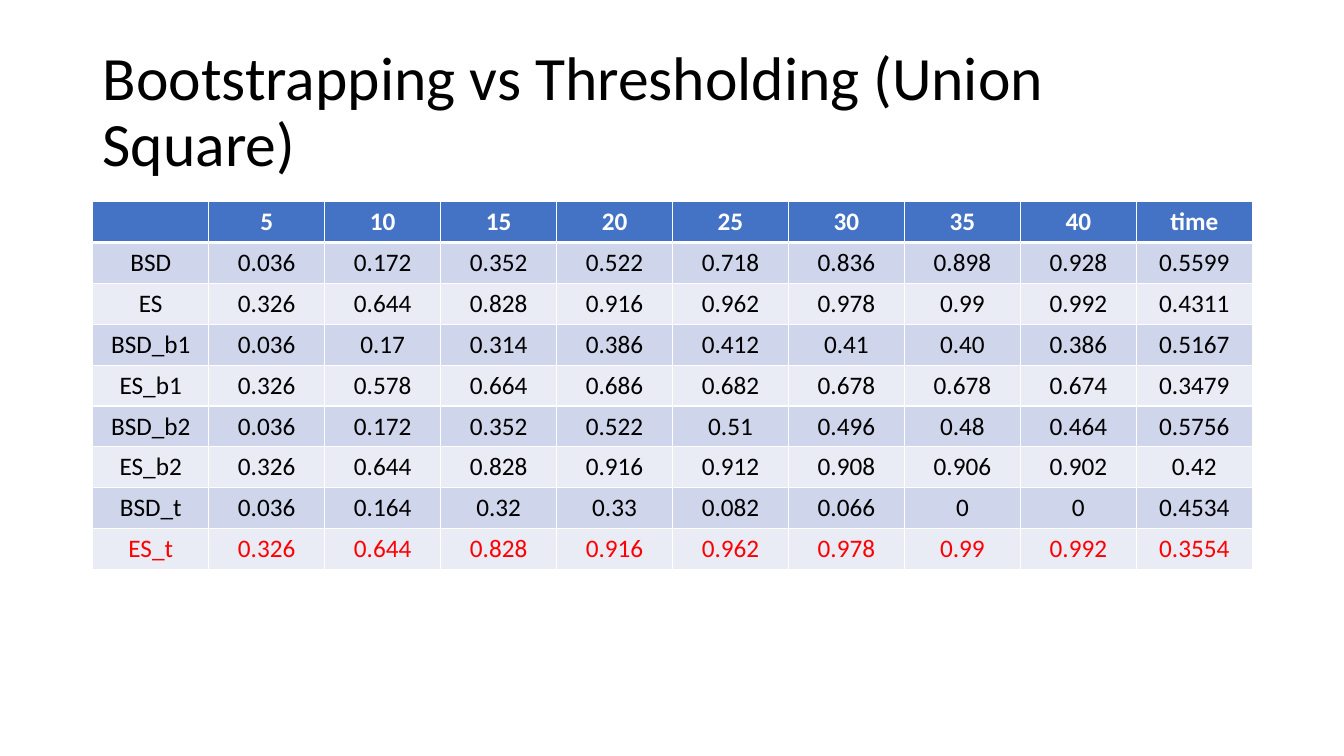
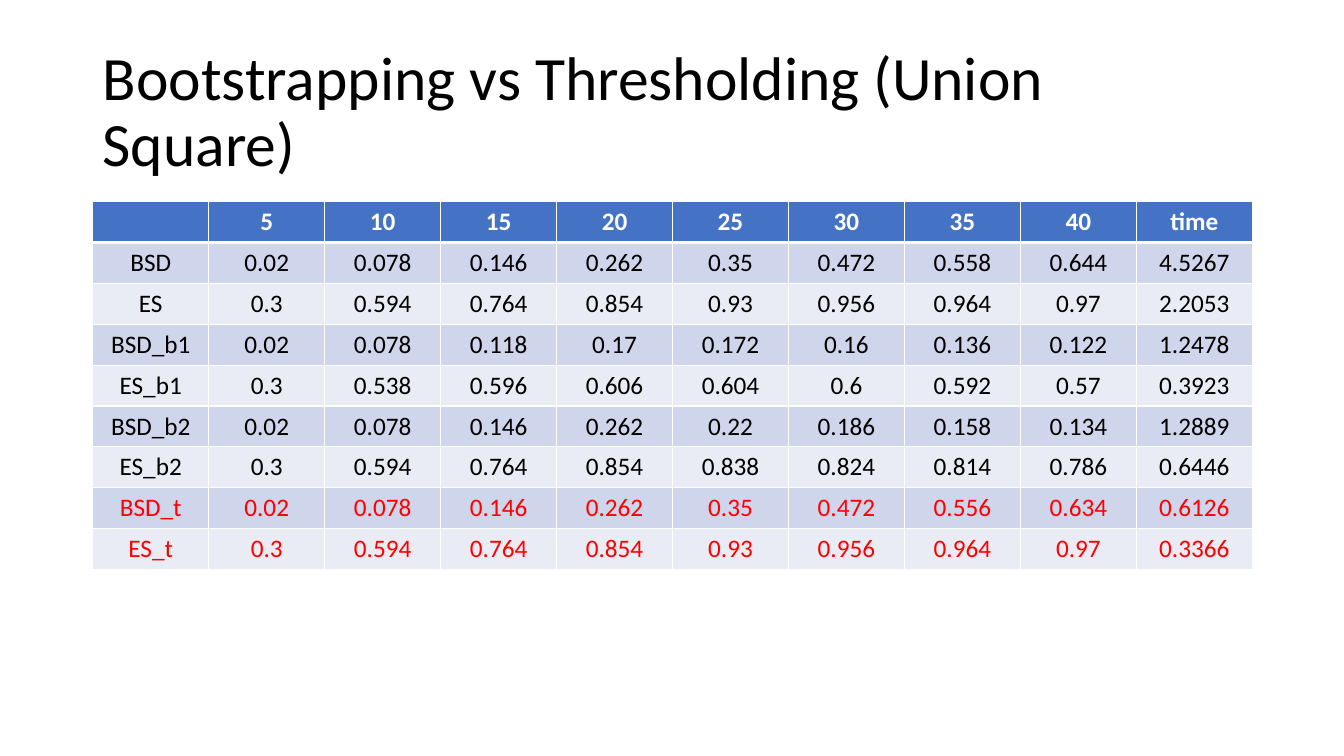
from lxml import etree
from pptx import Presentation
from pptx.dml.color import RGBColor
from pptx.enum.text import MSO_ANCHOR, PP_ALIGN
from pptx.oxml.ns import qn
from pptx.util import Inches, Pt

MIDDLE = MSO_ANCHOR.MIDDLE
LEFT = PP_ALIGN.LEFT
CENTER = PP_ALIGN.CENTER

BLACK = RGBColor(0x00, 0x00, 0x00)
WHITE = RGBColor(0xFF, 0xFF, 0xFF)
RED = RGBColor(0xFF, 0x00, 0x00)
HEADER_BLUE = RGBColor(0x44, 0x72, 0xC4)
BANDS = (RGBColor(0xCF, 0xD5, 0xEA), RGBColor(0xE9, 0xEB, 0xF5))

FONT = "Calibri"
BLANK_LAYOUT = 6
SLIDE_WIDTH, SLIDE_HEIGHT = Inches(13.33), Inches(7.5)
MARGIN = Inches(0.92)
CONTENT_WIDTH = Inches(11.5)
TITLE_TOP, TITLE_HEIGHT = Inches(0.4), Inches(1.45)
TABLE_TOP, TABLE_HEIGHT = Inches(2), Inches(3.65)
THIN, THICK = Pt(1), Pt(3)

TITLE = "Bootstrapping vs Thresholding (Union Square)"
HEADER = ("", "5", "10", "15", "20", "25", "30", "35", "40", "time")

FIRST_RESULTS = """
BSD 0.036 0.172 0.352 0.522 0.718 0.836 0.898 0.928 0.5599
ES 0.326 0.644 0.828 0.916 0.962 0.978 0.99 0.992 0.4311
BSD_b1 0.036 0.17 0.314 0.386 0.412 0.41 0.40 0.386 0.5167
ES_b1 0.326 0.578 0.664 0.686 0.682 0.678 0.678 0.674 0.3479
BSD_b2 0.036 0.172 0.352 0.522 0.51 0.496 0.48 0.464 0.5756
ES_b2 0.326 0.644 0.828 0.916 0.912 0.908 0.906 0.902 0.42
BSD_t 0.036 0.164 0.32 0.33 0.082 0.066 0 0 0.4534
ES_t 0.326 0.644 0.828 0.916 0.962 0.978 0.99 0.992 0.3554
"""

SECOND_RESULTS = """
BSD 0.02 0.078 0.146 0.262 0.35 0.472 0.558 0.644 4.5267
ES 0.3 0.594 0.764 0.854 0.93 0.956 0.964 0.97 2.2053
BSD_b1 0.02 0.078 0.118 0.17 0.172 0.16 0.136 0.122 1.2478
ES_b1 0.3 0.538 0.596 0.606 0.604 0.6 0.592 0.57 0.3923
BSD_b2 0.02 0.078 0.146 0.262 0.22 0.186 0.158 0.134 1.2889
ES_b2 0.3 0.594 0.764 0.854 0.838 0.824 0.814 0.786 0.6446
BSD_t 0.02 0.078 0.146 0.262 0.35 0.472 0.556 0.634 0.6126
ES_t 0.3 0.594 0.764 0.854 0.93 0.956 0.964 0.97 0.3366
"""


def write_text(frame, text, *, size=18, color=BLACK, bold=False,
               align=CENTER, line_spacing=None):
    para = frame.paragraphs[0]
    para.alignment = align
    para.line_spacing = line_spacing
    if text:
        span = para.add_run()
        span.text = text
        span.font.name = FONT
        span.font.size = Pt(size)
        span.font.bold = bold
        span.font.color.rgb = color


def add_title(page, text):
    box = page.shapes.add_textbox(MARGIN, TITLE_TOP, CONTENT_WIDTH, TITLE_HEIGHT)
    frame = box.text_frame
    frame.word_wrap = True
    frame.vertical_anchor = MIDDLE
    write_text(frame, text, size=44, align=LEFT, line_spacing=0.9)


def add_borders(cell, top, bottom):
    properties = cell._tc.get_or_add_tcPr()
    widths = {"lnL": THIN, "lnR": THIN, "lnT": top, "lnB": bottom}
    for side, width in widths.items():
        line = etree.SubElement(properties, qn(f"a:{side}"), w=str(int(width)))
        fill = etree.SubElement(line, qn("a:solidFill"))
        etree.SubElement(fill, qn("a:srgbClr"), val=str(WHITE))


def format_cell(cell, text, fill, *, top=THIN, bottom=THIN, **text_format):
    add_borders(cell, top, bottom)
    cell.fill.solid()
    cell.fill.fore_color.rgb = fill
    cell.vertical_anchor = MIDDLE
    write_text(cell.text_frame, text, **text_format)


def add_results_table(page, results, highlighted):
    rows = [line.split() for line in results.strip().splitlines()]
    table = page.shapes.add_table(
        len(rows) + 1, len(HEADER), MARGIN, TABLE_TOP, CONTENT_WIDTH, TABLE_HEIGHT
    ).table
    for column, text in enumerate(HEADER):
        format_cell(table.cell(0, column), text, HEADER_BLUE,
                    bottom=THICK, color=WHITE, bold=True)
    for index, row in enumerate(rows):
        for column, text in enumerate(row):
            format_cell(table.cell(index + 1, column), text, BANDS[index % 2],
                        top=THIN if index else THICK,
                        color=RED if row[0] in highlighted else BLACK)


def add_results_page(deck, results, highlighted):
    page = deck.slides.add_slide(deck.slide_layouts[BLANK_LAYOUT])
    add_title(page, TITLE)
    add_results_table(page, results, highlighted)


def main():
    deck = Presentation()
    deck.slide_width, deck.slide_height = SLIDE_WIDTH, SLIDE_HEIGHT
    add_results_page(deck, FIRST_RESULTS, {"ES_t"})
    add_results_page(deck, SECOND_RESULTS, {"BSD_t", "ES_t"})
    deck.save("out.pptx")


main()
